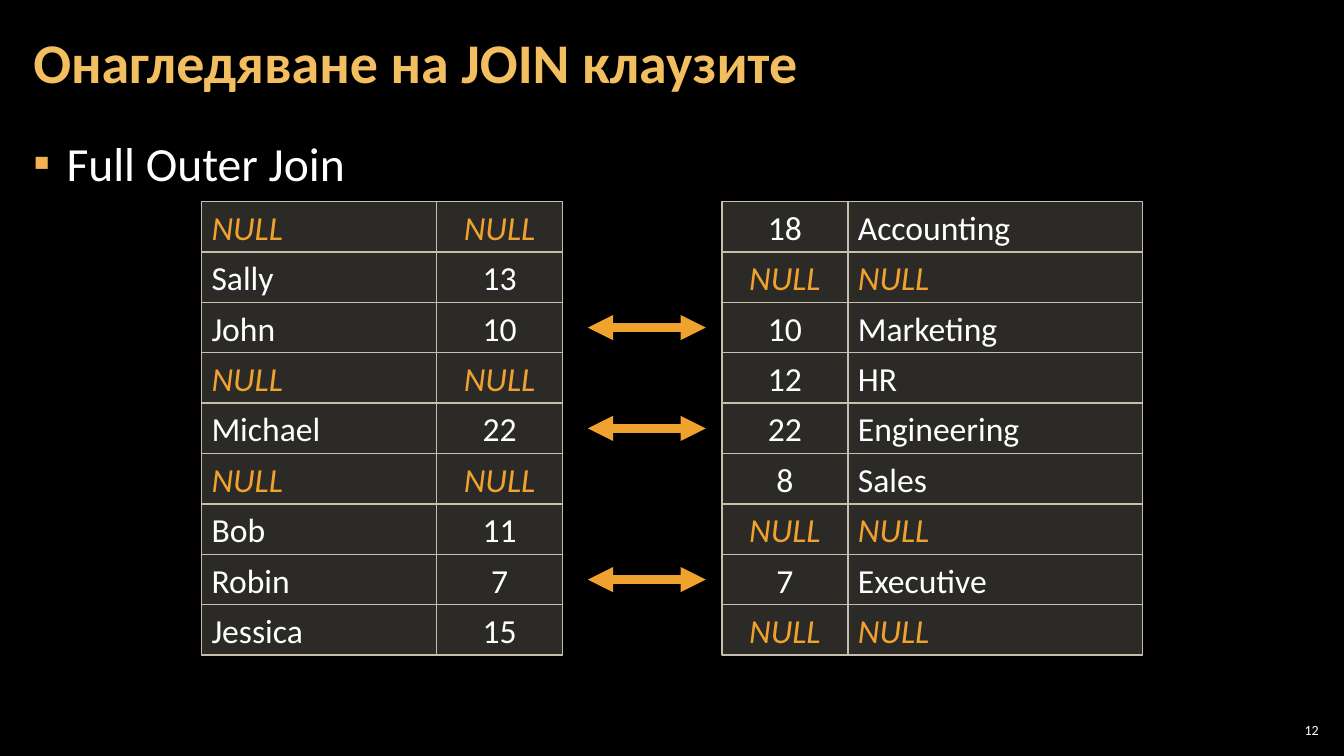
from dataclasses import dataclass

from lxml.etree import SubElement
from pptx import Presentation
from pptx.dml.color import RGBColor
from pptx.enum.shapes import MSO_CONNECTOR, MSO_SHAPE
from pptx.enum.text import MSO_ANCHOR as Anchor, PP_ALIGN as Align
from pptx.oxml.ns import qn
from pptx.slide import Slide
from pptx.text.text import _Paragraph as Para
from pptx.util import Inches, Pt

BLACK = RGBColor(0x00, 0x00, 0x00)
WHITE = RGBColor(0xFF, 0xFF, 0xFF)
GOLD = RGBColor(0xF3, 0xBE, 0x60)
AMBER = RGBColor(0xF2, 0xB2, 0x54)
ORANGE = RGBColor(0xF0, 0xA2, 0x2E)
SAND = RGBColor(0xD9, 0xD5, 0xC7)
BORDER = RGBColor(0xC7, 0xBF, 0xAC)

FONT = "Calibri"
NULL = "NULL"
TOP, ROW = 2, 0.5
ID_WIDTH = 1.25


@dataclass
class Label:
    text: str
    left: float
    top: float
    width: float
    height: float
    size: int
    color: RGBColor = WHITE
    bold: bool = False
    align: Align = Align.LEFT
    anchor: Anchor = Anchor.MIDDLE
    inset: float = 0.12
    spacing: float = 1.0


@dataclass
class Grid:
    left: float
    widths: tuple[float, float]
    rows: list[tuple[str, str]]


TITLE = Label("Онагледяване на JOIN клаузите", 0.21, 0.04, 12.91, 1.21, 40,
              GOLD, bold=True, spacing=0.9)
TOPIC = Label("Full Outer Join", 0.21, 1.26, 12.91, 6.09, 34,
              anchor=Anchor.TOP, spacing=1.05)
NUMBER = Label("12", 12.65, 7.14, 0.47, 0.21, 10, align=Align.RIGHT, inset=0.04)

STAFF = Grid(2, (2.33, ID_WIDTH), [
    (NULL, NULL), ("Sally", "13"), ("John", "10"),
    (NULL, NULL), ("Michael", "22"), (NULL, NULL),
    ("Bob", "11"), ("Robin", "7"), ("Jessica", "15"),
])
UNITS = Grid(7.16, (ID_WIDTH, 2.92), [
    ("18", "Accounting"), (NULL, NULL), ("10", "Marketing"),
    ("12", "HR"), ("22", "Engineering"), ("8", "Sales"),
    (NULL, NULL), ("7", "Executive"), (NULL, NULL),
])


def style(para: Para, size: int, color: RGBColor,
          bold: bool = False, italic: bool = False) -> None:
    for run in para.runs:
        font = run.font
        font.name, font.size = FONT, Pt(size)
        font.bold, font.italic = bold, italic
        font.color.rgb = color


def add_label(slide: Slide, label: Label) -> Para:
    box = slide.shapes.add_textbox(Inches(label.left), Inches(label.top),
                                   Inches(label.width), Inches(label.height))
    frame = box.text_frame
    frame.word_wrap = True
    frame.vertical_anchor = label.anchor
    frame.margin_left = frame.margin_right = Inches(label.inset)
    frame.margin_top = frame.margin_bottom = Inches(0.04)
    frame.text = label.text
    para = frame.paragraphs[0]
    para.alignment = label.align
    para.line_spacing = label.spacing
    style(para, label.size, label.color, label.bold)
    return para


def add_bullet(para: Para) -> None:
    props = para._p.get_or_add_pPr()
    props.set("marL", str(Inches(0.33)))
    props.set("indent", str(-Inches(0.33)))
    tint = SubElement(props, qn("a:buClr"))
    SubElement(tint, qn("a:srgbClr"), val=str(AMBER))
    SubElement(props, qn("a:buFont"), typeface=FONT)
    SubElement(props, qn("a:buChar"), char="▪")


def add_cell(slide: Slide, text: str, left: float, top: float,
             width: float) -> None:
    cell = slide.shapes.add_shape(MSO_SHAPE.RECTANGLE, Inches(left),
                                  Inches(top), Inches(width), Inches(ROW))
    cell.shadow.inherit = False
    cell.fill.solid()
    cell.fill.fore_color.rgb = SAND
    tint = cell._element.spPr.find(qn("a:solidFill")).find(qn("a:srgbClr"))
    SubElement(tint, qn("a:alpha"), val="20000")
    cell.line.color.rgb = BORDER
    cell.line.width = Pt(1)
    frame = cell.text_frame
    frame.vertical_anchor = Anchor.MIDDLE
    frame.text = text
    para = frame.paragraphs[0]
    para.alignment = Align.CENTER if width == ID_WIDTH else Align.LEFT
    empty = text == NULL
    style(para, 24, ORANGE if empty else WHITE, italic=empty)


def add_grid(slide: Slide, grid: Grid) -> None:
    lefts = (grid.left, grid.left + grid.widths[0])
    for i, row in enumerate(grid.rows):
        for text, left, width in zip(row, lefts, grid.widths):
            add_cell(slide, text, left, TOP + i * ROW, width)


def add_arrow(slide: Slide, y: float) -> None:
    arrow = slide.shapes.add_connector(MSO_CONNECTOR.STRAIGHT, Inches(5.83),
                                       Inches(y), Inches(7), Inches(y))
    arrow.line.color.rgb = ORANGE
    arrow.line.width = Pt(6)
    line = arrow.line._get_or_add_ln()
    for end in ("headEnd", "tailEnd"):
        SubElement(line, qn(f"a:{end}"), type="triangle")
    SubElement(arrow._element.spPr, qn("a:effectLst"))


def main() -> None:
    deck = Presentation()
    deck.slide_width, deck.slide_height = Inches(13.33), Inches(7.5)
    slide = deck.slides.add_slide(deck.slide_layouts[6])
    slide.background.fill.solid()
    slide.background.fill.fore_color.rgb = BLACK

    # Heading and topic
    add_bullet(add_label(slide, TOPIC))
    add_label(slide, TITLE)

    # Joined rows
    add_grid(slide, STAFF)
    add_grid(slide, UNITS)

    # Arrows between rows with equal keys
    for i, (person, unit) in enumerate(zip(STAFF.rows, UNITS.rows)):
        if person[1] == unit[0]:
            add_arrow(slide, TOP + (i + 0.5) * ROW)

    # Page number
    add_label(slide, NUMBER)
    deck.save("out.pptx")


if __name__ == "__main__":
    main()
